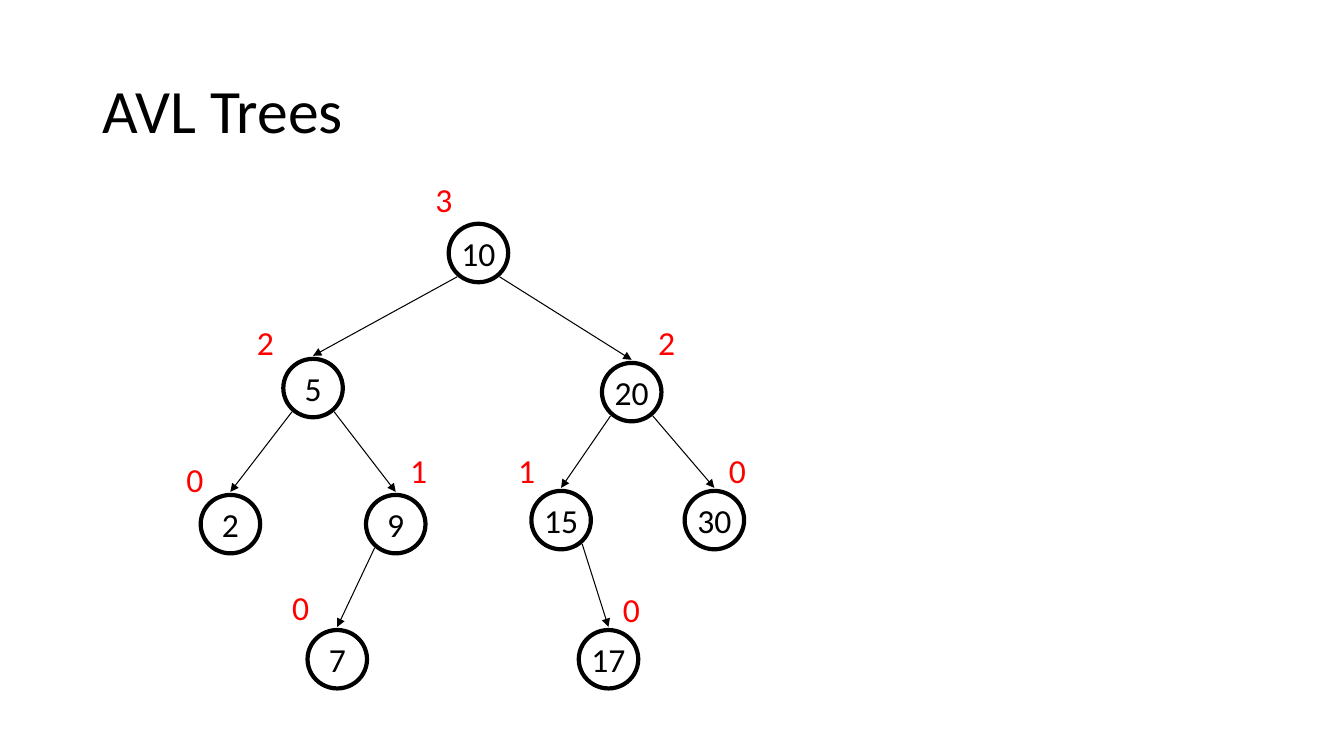
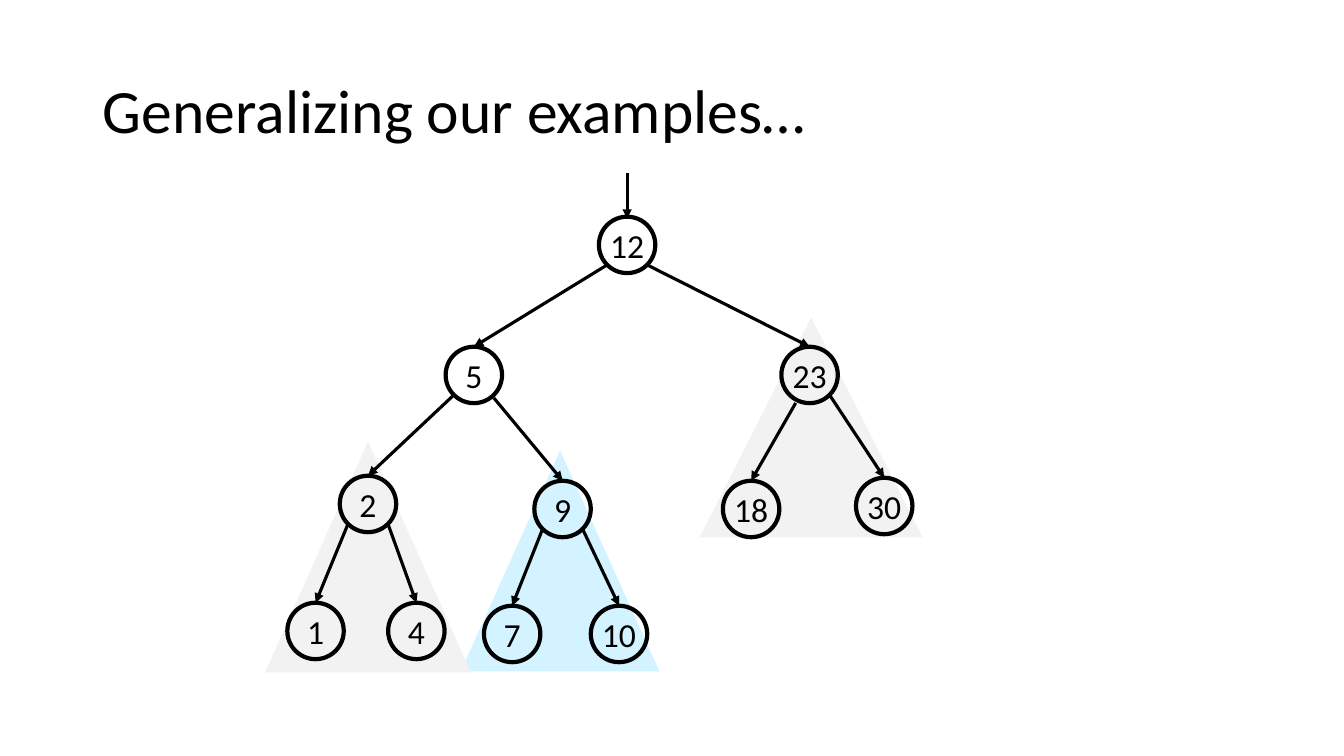
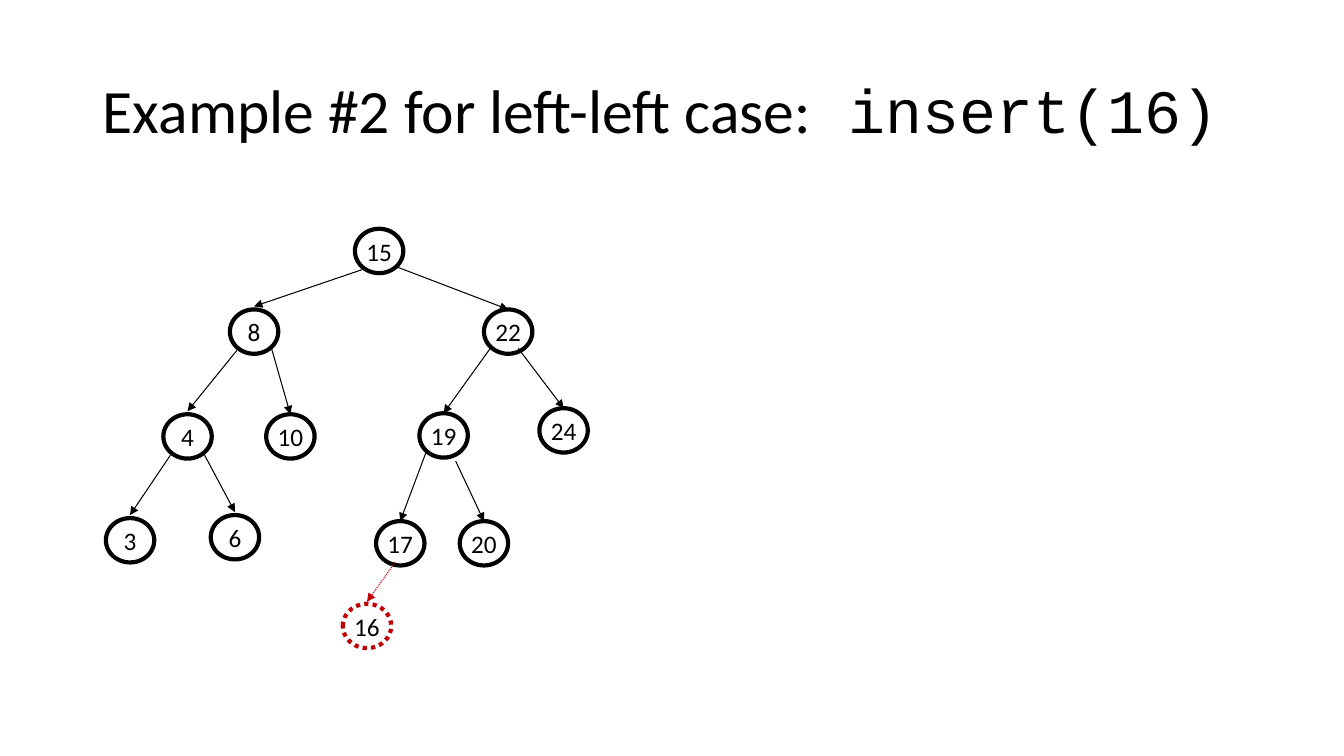
from dataclasses import dataclass
from typing import Optional

from lxml.etree import SubElement
from pptx import Presentation
from pptx.dml.color import RGBColor
from pptx.enum.dml import MSO_LINE
from pptx.enum.shapes import MSO_CONNECTOR, MSO_SHAPE
from pptx.enum.text import MSO_ANCHOR, MSO_AUTO_SIZE, PP_ALIGN
from pptx.oxml.ns import qn
from pptx.util import Inches, Pt

COLORS = {
    "ink": "000000",
    "paper": "FFFFFF",
    "height": "FF0000",
    "inserted": "C00000",
    "subtree": "F2F2F2",
    "middle": "D2F3FF",
}
BODY_FONT = "Calibri"
CODE_FONT = "Courier New"
COLUMNS, ROWS = 133.3, 75
CORNER = 0.146
TITLE_ONLY = 5


@dataclass
class TreeStyle:
    width: float
    height: float
    text_size: int
    edge_width: float
    gap: float = 0
    padded: bool = True


@dataclass
class Node:
    value: str
    left: float
    top: float
    parent: Optional[str] = None
    gap: Optional[float] = None
    shift: tuple = (0, 0)
    fill: Optional[str] = None
    inserted: bool = False


LARGE = TreeStyle(5.9, 5.8, 24, 0.75, gap=0.3)
MEDIUM = TreeStyle(5.6, 5.6, 24, 2.25)
SMALL = TreeStyle(4.8, 4.4, 18, 0.75, padded=False)

HEIGHT_TREE = [
    Node("10", 44.5, 22.2, fill="paper"),
    Node("5", 28.1, 35.6, "10"),
    Node("20", 59.7, 36, "10"),
    Node("2", 19.9, 49.1, "5"),
    Node("9", 36.3, 49.1, "5"),
    Node("15", 52.7, 48.7, "20"),
    Node("30", 67.9, 48.7, "20"),
    Node("7", 30.5, 62.5, "9"),
    Node("17", 57.4, 62.5, "15"),
]
HEIGHTS = [
    ("3", 42.2, 17.3),
    ("2", 24.5, 31.4),
    ("2", 64.3, 31.4),
    ("0", 17.5, 45),
    ("1", 39.7, 44.1),
    ("1", 50.4, 44.1),
    ("0", 71.3, 44.1),
    ("0", 28, 57.7),
    ("0", 60.8, 57.9),
]

SUBTREES = [
    ("subtree", 69.4, 31.5, 22.1, 21.8),
    ("middle", 45.7, 44.7, 19.7, 21.9),
    ("subtree", 26.3, 43.8, 20.4, 22.9),
]
GENERAL_TREE = [
    Node("12", 59.4, 21.5),
    Node("5", 44.2, 34.4, "12"),
    Node("23", 77.5, 34.4, "12"),
    Node("2", 33.7, 47.2, "5"),
    Node("9", 53, 47.7, "5", shift=(0, 0.3)),
    Node("18", 71.7, 47.7, "23", shift=(0.6, 0.8)),
    Node("30", 84.9, 47.4, "23"),
    Node("1", 28.5, 59.8, "2"),
    Node("4", 38.5, 59.8, "2"),
    Node("7", 48, 60.1, "9"),
    Node("10", 58.6, 60.1, "9"),
]

INSERT_TREE = [
    Node("15", 35.2, 22.7),
    Node("8", 22.8, 30.7, "15", gap=0.3),
    Node("22", 48, 30.7, "15"),
    Node("4", 16.2, 41.1, "8", gap=0.3),
    Node("10", 26.4, 41.1, "8"),
    Node("19", 41.6, 41, "22"),
    Node("24", 53.5, 40.5, "22", shift=(-0.7, 0.1)),
    Node("3", 10.5, 51.4, "4", gap=0.3),
    Node("6", 20.9, 51.1, "4", gap=0.3),
    Node("17", 37.3, 51.7, "19"),
    Node("20", 45.6, 51.7, "19", shift=(-0.5, 1)),
    Node("16", 34, 59.9, "17", gap=0.2, shift=(1.2, 0.1), inserted=True),
]


def cells(*counts):
    return [Inches(count / 10) for count in counts]


def color(name):
    return RGBColor.from_string(COLORS[name])


def format_runs(paragraph, size, name="ink", font=BODY_FONT):
    for run in paragraph.runs:
        run.font.size = Pt(size)
        run.font.name = font
        run.font.color.rgb = color(name)


def format_line(line, name, width, dotted):
    line.color.rgb = color(name)
    line.width = Pt(width)
    if dotted:
        line.dash_style = MSO_LINE.ROUND_DOT


def add_titled_slide(presentation, text, code=None):
    slide = presentation.slides.add_slide(presentation.slide_layouts[TITLE_ONLY])
    title = slide.shapes.title
    title.left, title.top, title.width, title.height = cells(9.2, 4, 115, 14.5)
    frame = title.text_frame
    frame.text = text
    frame.word_wrap = True
    frame.auto_size = MSO_AUTO_SIZE.NONE
    frame.vertical_anchor = MSO_ANCHOR.MIDDLE
    paragraph = frame.paragraphs[0]
    paragraph.alignment = PP_ALIGN.LEFT
    paragraph.line_spacing = 0.9
    if code:
        paragraph.add_run().text = code
    format_runs(paragraph, 44)
    if code:
        paragraph.runs[-1].font.name = CODE_FONT
    return slide


def add_arrow(slide, start, end, width, name="ink", dotted=False):
    arrow = slide.shapes.add_connector(MSO_CONNECTOR.STRAIGHT, *cells(*start, *end))
    format_line(arrow.line, name, width, dotted)
    properties = arrow.element.spPr
    SubElement(properties.find(qn("a:ln")), qn("a:tailEnd"), type="triangle")
    SubElement(properties, qn("a:effectLst"))


def add_node(slide, node, style):
    circle = slide.shapes.add_shape(
        MSO_SHAPE.OVAL, *cells(node.left, node.top, style.width, style.height)
    )
    circle.shadow.inherit = False
    if node.fill:
        circle.fill.solid()
        circle.fill.fore_color.rgb = color(node.fill)
    else:
        circle.fill.background()
    format_line(circle.line, "inserted" if node.inserted else "ink", 3, node.inserted)
    frame = circle.text_frame
    frame.text = node.value
    frame.word_wrap = False
    frame.vertical_anchor = MSO_ANCHOR.MIDDLE
    if not style.padded:
        frame.margin_left = frame.margin_right = 0
        frame.margin_top = frame.margin_bottom = 0
    frame.paragraphs[0].alignment = PP_ALIGN.CENTER
    format_runs(frame.paragraphs[0], style.text_size)


def add_edge(slide, parent, child, style):
    gap = style.gap if child.gap is None else child.gap
    share = CORNER if child.left < parent.left else 1 - CORNER
    start = (
        parent.left + share * style.width + child.shift[0],
        parent.top + (1 - CORNER) * style.height + gap + child.shift[1],
    )
    end = (child.left + style.width / 2, child.top - gap)
    name = "inserted" if child.inserted else "ink"
    add_arrow(slide, start, end, style.edge_width, name, child.inserted)


def add_tree(slide, nodes, style):
    by_value = {node.value: node for node in nodes}
    for node in nodes:
        add_node(slide, node, style)
    for node in nodes:
        if node.parent:
            add_edge(slide, by_value[node.parent], node, style)


def add_height(slide, text, left, top):
    label = slide.shapes.add_textbox(*cells(left, top, 3.7, 5))
    frame = label.text_frame
    frame.text = text
    frame.word_wrap = False
    frame.auto_size = MSO_AUTO_SIZE.SHAPE_TO_FIT_TEXT
    format_runs(frame.paragraphs[0], 24, "height")


def add_subtree(slide, name, *place):
    triangle = slide.shapes.add_shape(MSO_SHAPE.ISOSCELES_TRIANGLE, *cells(*place))
    triangle.shadow.inherit = False
    triangle.fill.solid()
    triangle.fill.fore_color.rgb = color(name)
    triangle.line.fill.background()


def main():
    presentation = Presentation()
    presentation.slide_width, presentation.slide_height = cells(COLUMNS, ROWS)

    slide = add_titled_slide(presentation, "AVL Trees")
    add_tree(slide, HEIGHT_TREE, LARGE)
    for height in HEIGHTS:
        add_height(slide, *height)

    slide = add_titled_slide(presentation, "Generalizing our examples…")
    for subtree in SUBTREES:
        add_subtree(slide, *subtree)
    add_tree(slide, GENERAL_TREE, MEDIUM)
    add_arrow(slide, (62.2, 17.2), (62.2, 21.7), MEDIUM.edge_width)

    slide = add_titled_slide(
        presentation, "Example #2 for left-left case:", " insert(16)"
    )
    add_tree(slide, INSERT_TREE, SMALL)

    presentation.save("out.pptx")


if __name__ == "__main__":
    main()
